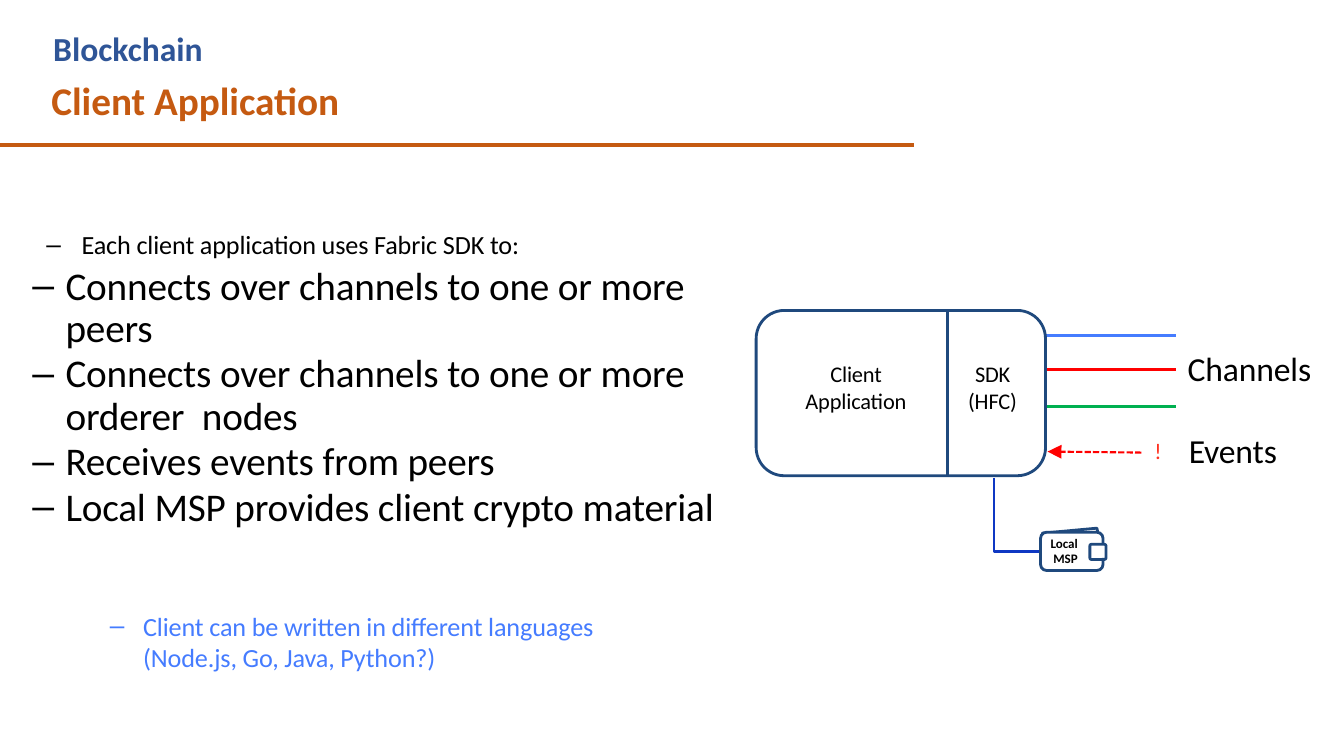
import dataclasses

import lxml.etree
import pptx
import pptx.dml.color
import pptx.enum.dml
import pptx.enum.shapes
import pptx.enum.text
import pptx.oxml.ns
import pptx.util

Inches = pptx.util.Inches
Pt = pptx.util.Pt
RGB = pptx.dml.color.RGBColor.from_string
qn = pptx.oxml.ns.qn
ALIGN = pptx.enum.text.PP_ALIGN
SHAPE = pptx.enum.shapes.MSO_SHAPE


@dataclasses.dataclass
class Theme:
    font: str = "Calibri"
    bullet_font: str = "Arial"
    orange: str = "C55A11"
    heading_blue: str = "2F5597"
    navy: str = "1F497D"
    wire: str = "0F38C3"
    sky: str = "457CFF"
    red: str = "FF0000"
    alert: str = "FF3220"
    green: str = "00B050"
    black: str = "000000"
    white: str = "FFFFFF"
    title: float = 28
    heading: float = 24
    note: float = 18.7
    label: float = 16
    tiny: float = 9.3


theme = Theme()


def write(sp, box, lines, size, color, bold=False, align=ALIGN.LEFT, inset=(0, 0.02), dash=None):
    sp.left, sp.top, sp.width, sp.height = [Inches(v) for v in box]
    tf = sp.text_frame
    tf.word_wrap = True
    tf.auto_size = pptx.enum.text.MSO_AUTO_SIZE.NONE
    tf.vertical_anchor = pptx.enum.text.MSO_ANCHOR.TOP
    tf.margin_left = tf.margin_right = Inches(inset[0])
    tf.margin_top = tf.margin_bottom = Inches(inset[1])
    for i, line in enumerate(lines):
        p = tf.add_paragraph() if i else tf.paragraphs[0]
        p.alignment = align
        p.space_before = Pt(2.3 if i else 0)
        if len(lines) > 1:
            p.line_spacing = 0.9
        if dash:
            pPr = p._p.get_or_add_pPr()
            pPr.set("marL", str(Inches(dash[0])))
            pPr.set("indent", str(Inches(dash[1])))
            lxml.etree.SubElement(pPr, qn("a:buFont")).set("typeface", theme.bullet_font)
            lxml.etree.SubElement(pPr, qn("a:buChar")).set("char", "–")
        r = p.add_run()
        r.text = line
        r.font.name = theme.font
        r.font.size = Pt(size)
        r.font.bold = bold
        r.font.color.rgb = RGB(color)
        if not bold:
            r._r.get_or_add_rPr().set("spc", "-10")


def add_line(x1, y1, x2, y2, color, width):
    cx = s.shapes.add_connector(
        pptx.enum.shapes.MSO_CONNECTOR.STRAIGHT, Inches(x1), Inches(y1), Inches(x2), Inches(y2))
    cx.line.color.rgb = RGB(color)
    cx.line.width = Pt(width)
    lxml.etree.SubElement(cx._element.spPr, qn("a:effectLst"))
    return cx


prs = pptx.Presentation()
prs.slide_width = Inches(13.33)
prs.slide_height = Inches(7.5)
s = prs.slides.add_slide(prs.slide_layouts[1])

write(s.shapes.title, (0.41, 0.71, 8.75, 0.57), ["Client Application"],
      theme.title, theme.orange, bold=True, inset=(0.1, 0.05))
write(s.placeholders[1], (0.3, 2.59, 7.13, 3.43), [
    "Connects over channels to one or more peers",
    "Connects over channels to one or more orderer  nodes",
    "Receives events from peers",
    "Local MSP provides client crypto material",
], theme.title, theme.black, inset=(0, 0.05), dash=(0.35, -0.33))
add_line(0, 1.44, 9.07, 1.44, theme.orange, 3)

for y, color in ((3.33, theme.sky), (3.67, theme.red), (4.03, theme.green)):
    add_line(10.36, y, 11.66, y, color, 2)

event = add_line(11.32, 4.49, 10.39, 4.48, theme.red, 1.5)
event.line.dash_style = pptx.enum.dml.MSO_LINE.SQUARE_DOT
tail = lxml.etree.SubElement(event.line._get_or_add_ln(), qn("a:tailEnd"))
for key, value in (("type", "triangle"), ("w", "lg"), ("len", "lg")):
    tail.set(key, value)

outlines = (
    ([(9.86, 4.74), (9.86, 5.47), (10.39, 5.47)], False, theme.wire),
    ([(10.34, 5.29), (10.88, 5.24), (10.9, 5.35), (10.36, 5.4)], True, theme.navy),
)
for points, closed, color in outlines:
    points = [(Inches(x), Inches(y)) for x, y in points]
    builder = s.shapes.build_freeform(*points[0])
    builder.add_line_segments(points[1:], close=closed)
    sp = builder.convert_to_shape()
    sp.shadow.inherit = False
    sp.line.color.rgb = RGB(color)
    sp.line.width = Pt(2)
    if closed:
        sp.fill.solid()
        sp.fill.fore_color.rgb = RGB(theme.white)
    else:
        sp.fill.background()

client, wallet, clasp = (7.5, 3.08, 2.87, 1.64), (10.32, 5.28, 0.62, 0.38), (10.81, 5.4, 0.16, 0.15)
for box, radius in ((client, 0.17), (wallet, 0.16), (clasp, 0.1)):
    sp = s.shapes.add_shape(SHAPE.ROUNDED_RECTANGLE, *[Inches(v) for v in box])
    sp.adjustments[0] = radius
    sp.shadow.inherit = False
    sp.fill.solid()
    sp.fill.fore_color.rgb = RGB(theme.white)
    sp.line.color.rgb = RGB(theme.navy)
    sp.line.width = Pt(2)
add_line(9.4, 3.08, 9.4, 4.72, theme.navy, 2.25)

labels = (
    ((0.43, 0.23, 8.2, 0.5), "Blockchain", theme.heading, theme.heading_blue,
     {"bold": True, "inset": (0.1, 0.05)}),
    ((0.44, 2.25, 4.77, 0.33), "Each client application uses Fabric SDK to:",
     theme.note, theme.black, {"dash": (0.37, -0.35)}),
    ((1.07, 6.03, 4.9, 0.65),
     "Client can be written in different languages (Node.js, Go, Java, Python?)",
     theme.note, theme.sky, {"dash": (0.35, -0.33)}),
    ((7.94, 3.55, 1.1, 0.56), "Client Application", theme.label, theme.black,
     {"align": ALIGN.CENTER}),
    ((9.56, 3.55, 0.57, 0.56), "SDK (HFC)", theme.label, theme.black, {"align": ALIGN.CENTER}),
    ((11.78, 3.43, 1.27, 0.42), "Channels", theme.heading, theme.black, {}),
    ((11.79, 4.24, 0.95, 0.42), "Events", theme.heading, theme.black, {}),
    ((11.45, 4.32, 0.12, 0.29), "!", theme.label, theme.alert, {}),
    ((10.36, 5.29, 0.33, 0.33), "Local MSP", theme.tiny, theme.black,
     {"bold": True, "align": ALIGN.RIGHT}),
)
for box, text, size, color, options in labels:
    sp = s.shapes.add_textbox(*[Inches(v) for v in box])
    write(sp, box, [text], size, color, **options)

prs.save("out.pptx")
